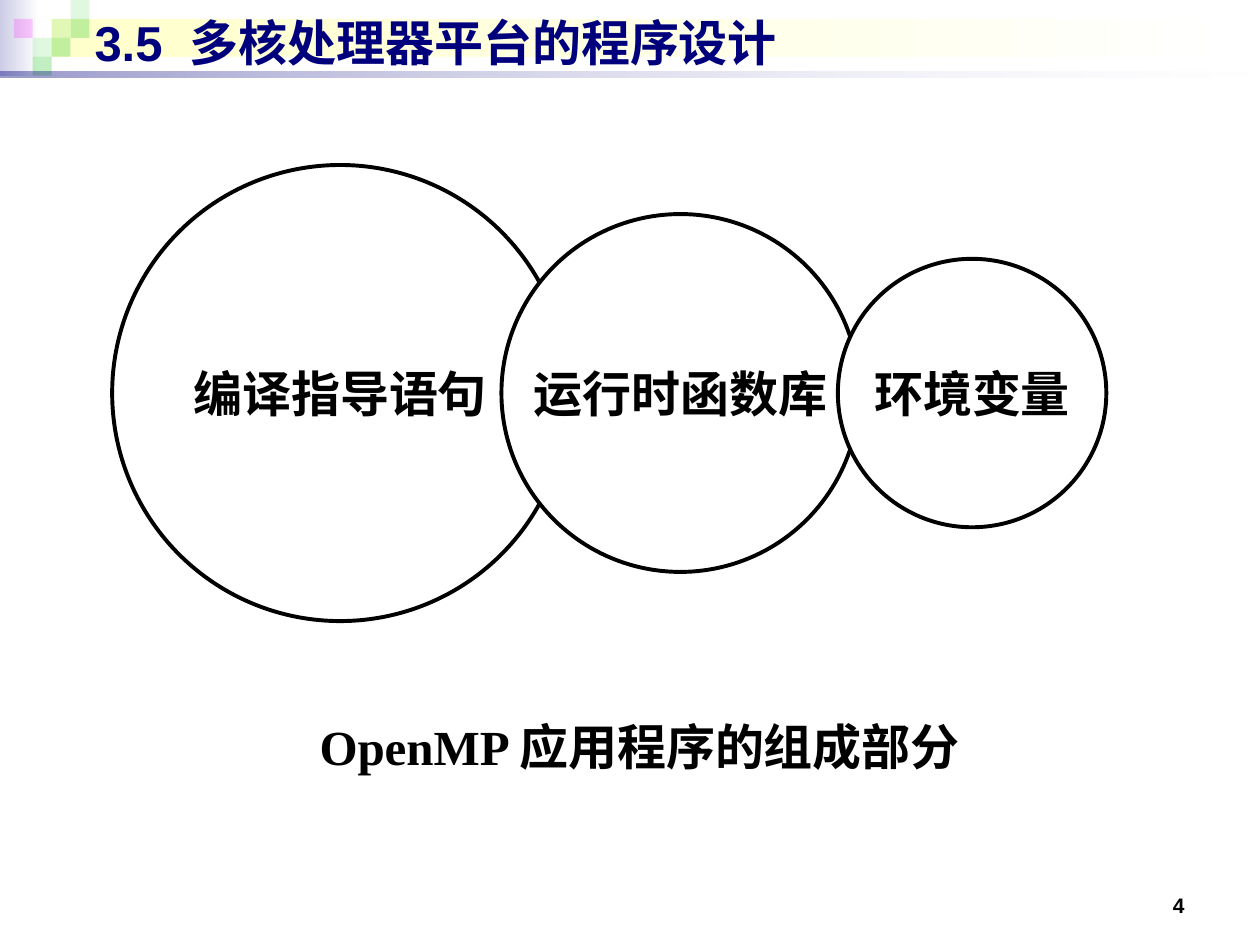
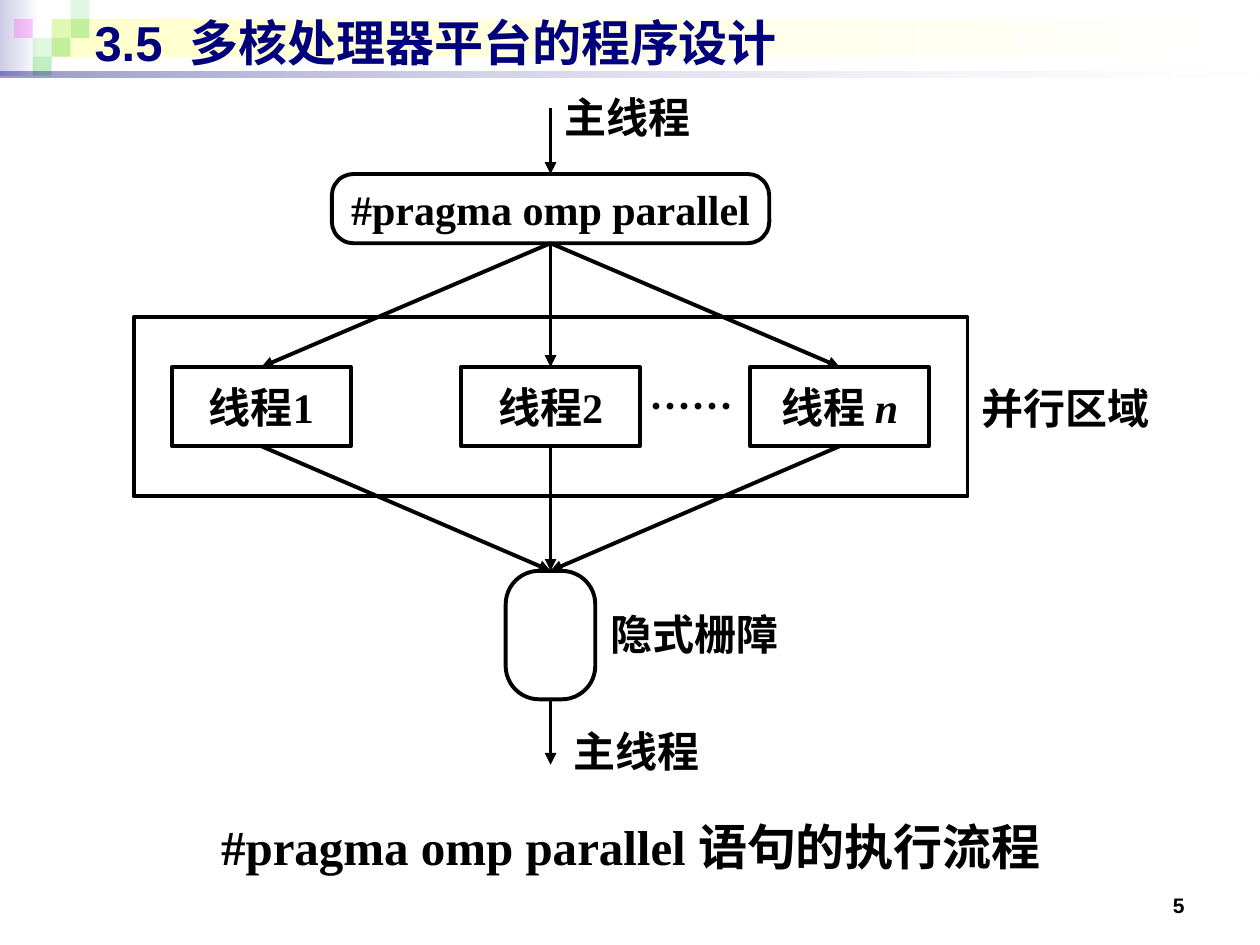
from dataclasses import dataclass

from lxml import etree
from pptx import Presentation
from pptx.dml.color import RGBColor
from pptx.enum.shapes import MSO_CONNECTOR, MSO_SHAPE
from pptx.enum.text import MSO_ANCHOR, MSO_AUTO_SIZE, PP_ALIGN
from pptx.oxml.ns import qn
from pptx.util import Pt

RECT, ROUND, OVAL = MSO_SHAPE.RECTANGLE, MSO_SHAPE.ROUNDED_RECTANGLE, MSO_SHAPE.OVAL
LEFT, CENTER, RIGHT = PP_ALIGN.LEFT, PP_ALIGN.CENTER, PP_ALIGN.RIGHT
TOP, MIDDLE, BOTTOM = MSO_ANCHOR.TOP, MSO_ANCHOR.MIDDLE, MSO_ANCHOR.BOTTOM
FIXED, GROW = MSO_AUTO_SIZE.NONE, MSO_AUTO_SIZE.SHAPE_TO_FIT_TEXT
STRAIGHT = MSO_CONNECTOR.STRAIGHT


@dataclass(frozen=True)
class Theme:
    """Colours, fonts and type sizes of the deck."""
    ink: str = "000000"
    paper: str = "FFFFFF"
    navy: str = "00007D"
    lavender: str = "CCCCE6"
    cream: str = "FFFFCC"
    green: str = "33CC33"
    magenta: str = "FF00FF"
    sans: str = "Arial"
    serif: str = "Times New Roman"
    cjk: str = "Noto Sans CJK SC"
    large: int = 28
    medium: int = 24
    small: int = 12
    stroke: float = 2.25


class Deck:
    """Holds the style and the current slide, and draws on it."""

    def __init__(self, theme):
        """Start an empty 10 by 7.5 inch presentation."""
        self.t = theme
        self.prs = Presentation()
        self.prs.slide_width, self.prs.slide_height = Pt(720), Pt(540)
        self.layout = self.prs.slide_layouts[1]
        self.s = None

    def new_slide(self, title, caption, caption_at, number):
        """Add a slide with its title, caption and page number."""
        t = self.t
        self.s = self.prs.slides.add_slide(self.layout)
        if len(self.prs.slides) == 1:
            self.header_band()
        self.placeholder(self.s.shapes.title, (46.8, 3.6, 648, 41), title,
                         LEFT, MIDDLE, t.sans, t.navy)
        self.placeholder(self.s.placeholders[1], caption_at, caption,
                         CENTER, TOP, t.serif, t.ink)
        self.label(str(number), 516, 492, 168, 36, RIGHT, t.small, t.sans,
                   BOTTOM, FIXED)

    def header_band(self):
        """Draw the header decoration once and move it to the layout."""
        t, unit = self.t, 10.8
        parts = [
            self.gradient(0, 0, 22.5, 4 * unit, (t.lavender, t.paper)),
            self.gradient(29.5, unit, 687.6, 2 * unit, (t.cream, t.paper)),
        ]
        squares = [(2, 1, t.green, 15), (3, 0, t.green, 15), (3, 1, t.green, 30),
                   (1, 2, t.green, 15), (0, 1, t.magenta, 20),
                   (2, 2, t.green, 30), (1, 3, t.green, 30)]
        for col, row, color, opacity in squares:
            sp = self.shape(RECT, 7.9 + col * unit, row * unit, unit, unit,
                            fill=color, line=False)
            self.opacity(sp, [opacity])
            parts.append(sp)
        parts.append(self.gradient(0, 40.8, 720, 3.8, (t.navy, t.paper), (40, 10)))
        for sp in parts:
            self.layout.shapes.element.append(sp.element)

    def opacity(self, sp, percents):
        """Set the opacity of each fill colour of a shape."""
        for clr, percent in zip(sp.element.spPr.iter(qn("a:srgbClr")), percents):
            etree.SubElement(clr, qn("a:alpha")).set("val", str(percent * 1000))

    def gradient(self, x, y, w, h, colors, percents=()):
        """Draw a borderless bar that fades from left to right."""
        sp = self.shape(RECT, x, y, w, h, line=False)
        sp.fill.gradient()
        sp.fill.gradient_angle = 0
        for stop, color in zip(sp.fill.gradient_stops, colors):
            stop.color.rgb = RGBColor.from_string(color)
        self.opacity(sp, percents)
        return sp

    def shape(self, kind, x, y, w, h, fill=None, line=True, adj=None):
        """Draw a preset shape."""
        sp = self.s.shapes.add_shape(kind, Pt(x), Pt(y), Pt(w), Pt(h))
        sp.shadow.inherit = False
        if adj is not None:
            sp.adjustments[0] = adj
        if fill:
            sp.fill.solid()
            sp.fill.fore_color.rgb = RGBColor.from_string(fill)
        else:
            sp.fill.background()
        if line:
            self.stroke(sp)
        else:
            sp.line.fill.background()
        return sp

    def node(self, kind, x, y, w, h, runs, size, **style):
        """Draw a shape with centred text."""
        sp = self.shape(kind, x, y, w, h, **style)
        self.add_text(sp.text_frame, runs, CENTER, MIDDLE, size, self.t.serif)
        return sp

    def stroke(self, sp):
        """Give a shape or connector the standard line."""
        sp.line.color.rgb = RGBColor.from_string(self.t.ink)
        sp.line.width = Pt(self.t.stroke)

    def arrow(self, x1, y1, x2, y2):
        """Draw a straight arrow."""
        c = self.s.shapes.add_connector(STRAIGHT, Pt(x1), Pt(y1), Pt(x2), Pt(y2))
        self.stroke(c)
        ln = c.element.spPr.find(qn("a:ln"))
        etree.SubElement(ln, qn("a:tailEnd")).set("type", "triangle")
        etree.SubElement(c.element.spPr, qn("a:effectLst"))

    def label(self, text, x, y, w, h=36, align=CENTER, size=None, font=None,
              anchor=TOP, fit=GROW):
        """Add a free text box."""
        tf = self.s.shapes.add_textbox(Pt(x), Pt(y), Pt(w), Pt(h)).text_frame
        self.add_text(tf, text, align, anchor, size or self.t.medium,
                      font or self.t.serif, wrap=fit == FIXED, fit=fit)

    def placeholder(self, ph, at, text, align, anchor, font, color):
        """Place and fill a template placeholder, without a bullet."""
        ph.left, ph.top, ph.width, ph.height = (Pt(v) for v in at)
        p = self.add_text(ph.text_frame, text, align, anchor, self.t.large,
                          font, color, wrap=True)
        p_pr = p._p.get_or_add_pPr()
        p_pr.set("marL", "0")
        p_pr.set("indent", "0")
        etree.SubElement(p_pr, qn("a:buNone"))

    def add_text(self, tf, runs, align, anchor, size, font, color=None,
                 wrap=False, fit=FIXED):
        """Fill a text frame with one paragraph of (text, italic) runs."""
        tf.word_wrap, tf.auto_size, tf.vertical_anchor = wrap, fit, anchor
        p = tf.paragraphs[0]
        p.alignment, p.space_before = align, Pt(0)
        for text, italic in [(runs, False)] if isinstance(runs, str) else runs:
            r = p.add_run()
            r.text = text
            f = r.font
            f.name, f.size, f.bold = font, Pt(size), True
            f.color.rgb = RGBColor.from_string(color or self.t.ink)
            if italic:
                f.italic = True
            ea = etree.SubElement(r._r.get_or_add_rPr(), qn("a:ea"))
            ea.set("typeface", self.t.cjk)
        return p


TITLE = "3.5  多核处理器平台的程序设计"


def components_slide(d):
    """Three overlapping circles: the parts of an OpenMP program."""
    d.new_slide(TITLE, "OpenMP 应用程序的组成部分", (36, 406, 659, 45.4), 4)
    middle = 224.6
    for text, cx, size in [("编译指导语句", 194.4, 260.6),
                           ("运行时函数库", 388.8, 204.5),
                           ("环境变量", 555.5, 153.4)]:
        d.node(OVAL, cx - size / 2, middle - size / 2, size, size, text,
               d.t.large, fill=d.t.paper)


def parallel_slide(d):
    """Fork and join flow of a parallel region."""
    d.new_slide(TITLE, "#pragma omp parallel 语句的执行流程",
                (31, 463, 659, 45.4), 5)
    t, axis, step = d.t, 314.6, 165.2
    pragma_top, pragma_bottom = 99.4, 139
    thread_top, thread_bottom, thread_w = 209.7, 255, 102.2
    barrier_top, barrier_bottom = 326.2, 399.6

    d.node(ROUND, axis - 125, pragma_top, 250, pragma_bottom - pragma_top,
           "#pragma omp parallel", t.medium, adj=0.313)
    threads = [[("线程1", False)], [("线程2", False)],
               [("线程 ", False), ("n", True)]]
    for i, runs in enumerate(threads):
        cx = axis + (i - 1) * step
        d.node(RECT, cx - thread_w / 2, thread_top, thread_w,
               thread_bottom - thread_top, runs, t.medium)
        d.arrow(axis, pragma_bottom, cx, thread_top)
        d.arrow(cx, thread_bottom, axis, barrier_top)
    d.label("……", 363.6, 213.8, 63.4, font=t.cjk)
    d.shape(RECT, axis - 238.3, 181.4, 476.6, 102.2)
    d.shape(ROUND, axis - 25.6, barrier_top, 51.2,
            barrier_bottom - barrier_top, adj=0.373)
    d.arrow(axis, 62, axis, pragma_top)
    d.arrow(axis, barrier_bottom, axis, 437)

    d.label("主线程", axis, 49, 87.8)
    d.label("主线程", 319.7, 411.1, 87.8)
    d.label("隐式栅障", 342, 344.2, 112.3, align=LEFT)
    d.label("并行区域", 553.7, 215.3, 112.3, align=LEFT)


deck = Deck(Theme())
components_slide(deck)
parallel_slide(deck)
deck.prs.save("out.pptx")
